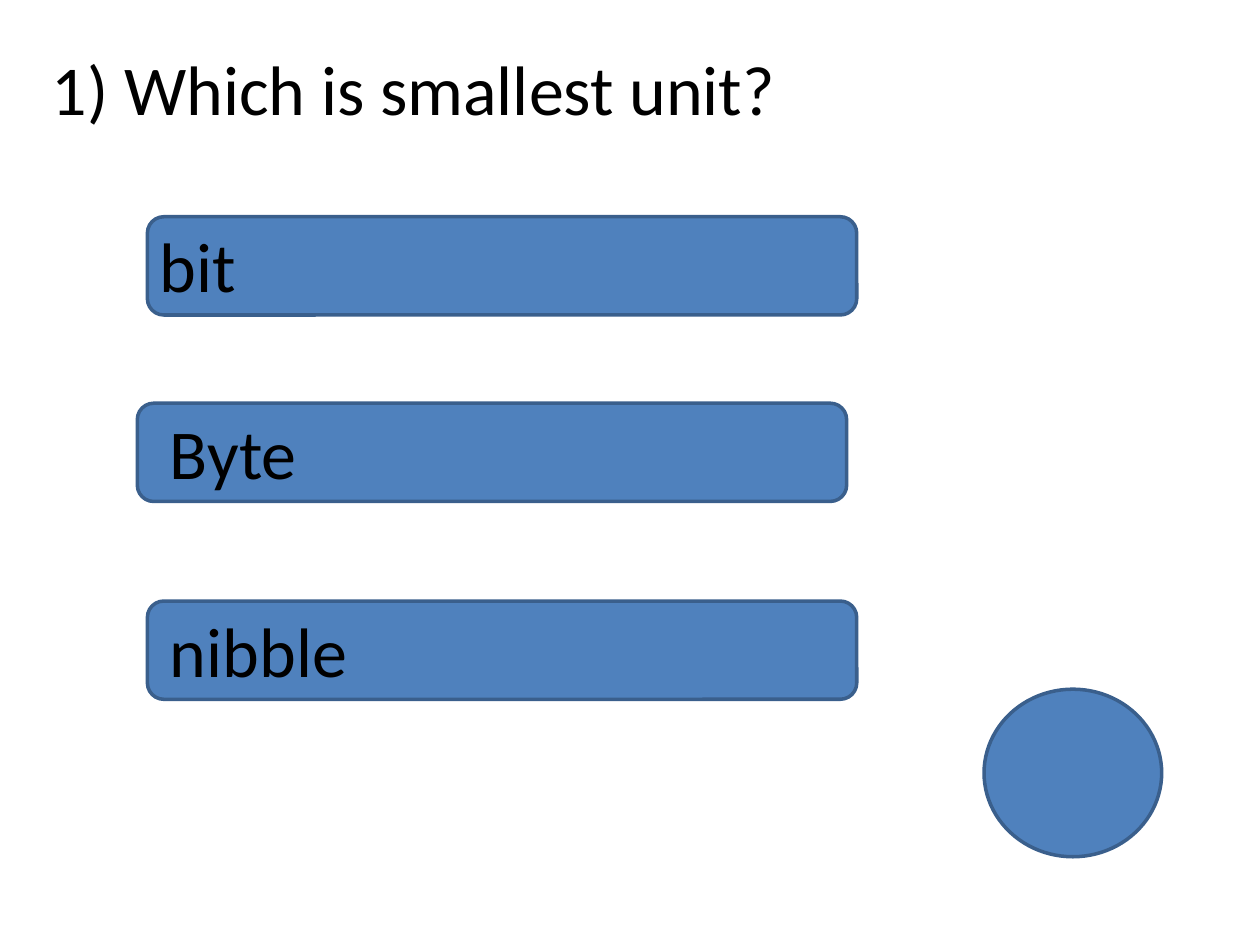
from pptx import Presentation
from pptx.dml.color import RGBColor
from pptx.enum.shapes import MSO_SHAPE
from pptx.enum.text import MSO_ANCHOR, MSO_AUTO_SIZE, PP_ALIGN
from pptx.util import Inches, Pt

BLUE = RGBColor(0x4F, 0x81, 0xBD)
DARK_BLUE = RGBColor(0x3A, 0x5F, 0x8C)
BLACK = RGBColor(0, 0, 0)
ROUNDED, OVAL = MSO_SHAPE.ROUNDED_RECTANGLE, MSO_SHAPE.OVAL
LEFT, TOP = PP_ALIGN.LEFT, MSO_ANCHOR.TOP
FRAME = {"word_wrap": True, "auto_size": MSO_AUTO_SIZE.SHAPE_TO_FIT_TEXT,
         "vertical_anchor": TOP}
FONT = {"name": "Calibri", "size": Pt(40)}
TEXT_HEIGHT = 0.77
# answer, bar left, text left, top
ANSWERS = [("bit", 1.17, 1.17, 1.72),
           ("Byte", 1.09, 1.25, 3.2),
           ("nibble", 1.17, 1.25, 4.77)]


def set_attrs(obj, values):
    """Set every attribute named in values on obj."""
    for name, value in values.items():
        setattr(obj, name, value)


def write_text(sp, text):
    """Fill a shape with one left-aligned line of large black text."""
    tf = sp.text_frame
    set_attrs(tf, FRAME)
    p = tf.paragraphs[0]
    p.alignment = LEFT
    r = p.add_run()
    r.text = text
    set_attrs(r.font, FONT)
    r.font.color.rgb = BLACK


def add_blue_shape(s, kind, left, top, width, height):
    """Add a blue preset shape with a darker outline."""
    sp = s.shapes.add_shape(kind, Inches(left), Inches(top),
                            Inches(width), Inches(height))
    sp.shadow.inherit = False
    sp.fill.solid()
    sp.fill.fore_color.rgb = BLUE
    sp.line.color.rgb = DARK_BLUE
    sp.line.width = Pt(2)


def add_question(s, text, left, top, width):
    """Place the question in the title placeholder."""
    sp = s.shapes.title
    set_attrs(sp, {"left": Inches(left), "top": Inches(top),
                   "width": Inches(width), "height": Inches(TEXT_HEIGHT)})
    write_text(sp, text)


def add_answer(s, text, bar_left, text_left, top):
    """Add an answer bar with its label on top."""
    add_blue_shape(s, ROUNDED, bar_left, top, 5.63, 0.78)
    sp = s.shapes.add_textbox(Inches(text_left), Inches(top),
                              Inches(5.08), Inches(TEXT_HEIGHT))
    write_text(sp, text)


def build_quiz_slide(prs):
    """Build the question, its three answers and the round button."""
    s = prs.slides.add_slide(prs.slide_layouts[5])
    add_question(s, "1) Which is smallest unit?", 0.31, 0.31, 9.06)
    for answer in ANSWERS:
        add_answer(s, *answer)
    add_blue_shape(s, OVAL, 7.81, 5.47, 1.41, 1.33)


prs = Presentation()
prs.slide_width, prs.slide_height = Inches(10), Inches(7.5)
build_quiz_slide(prs)
prs.save("out.pptx")
